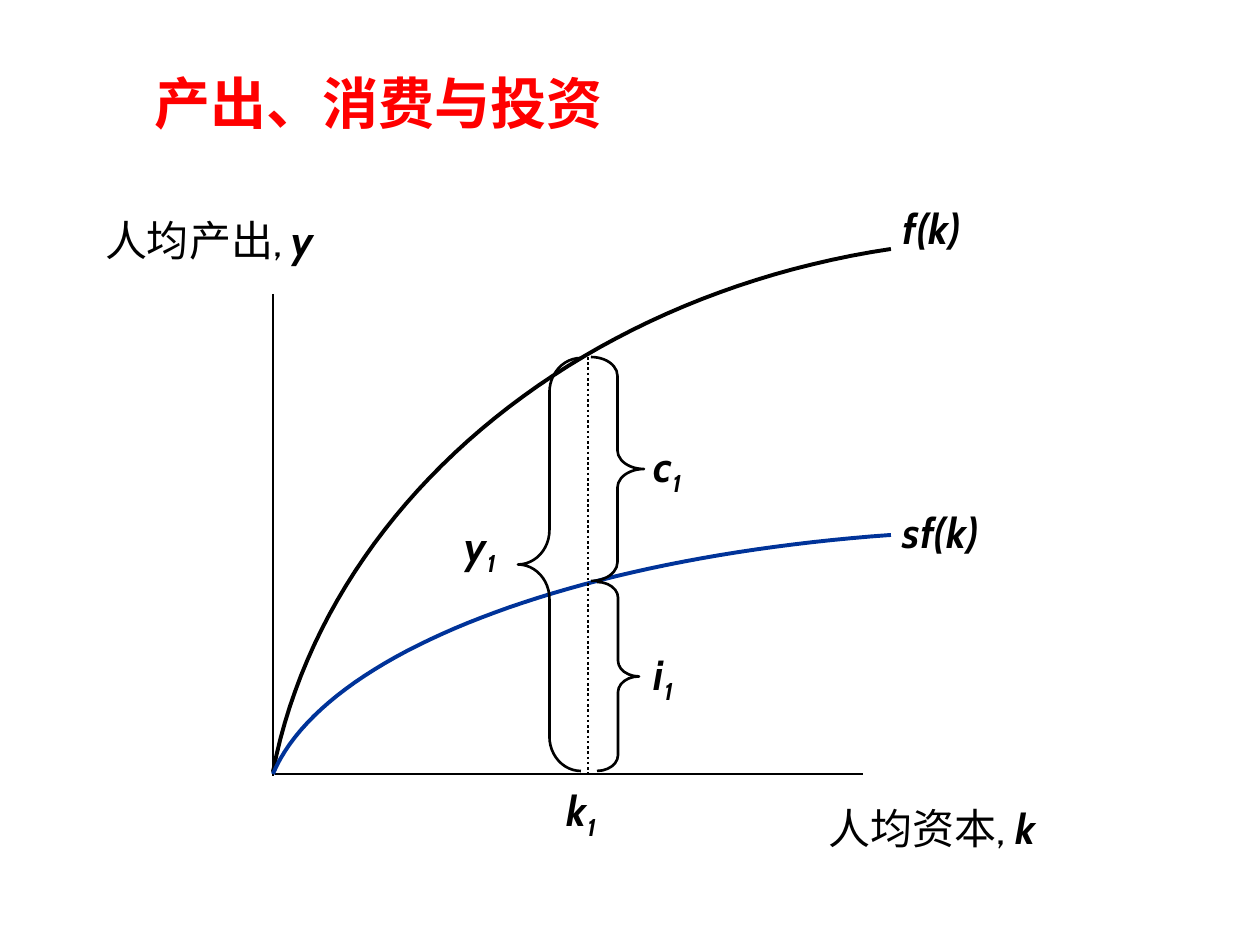
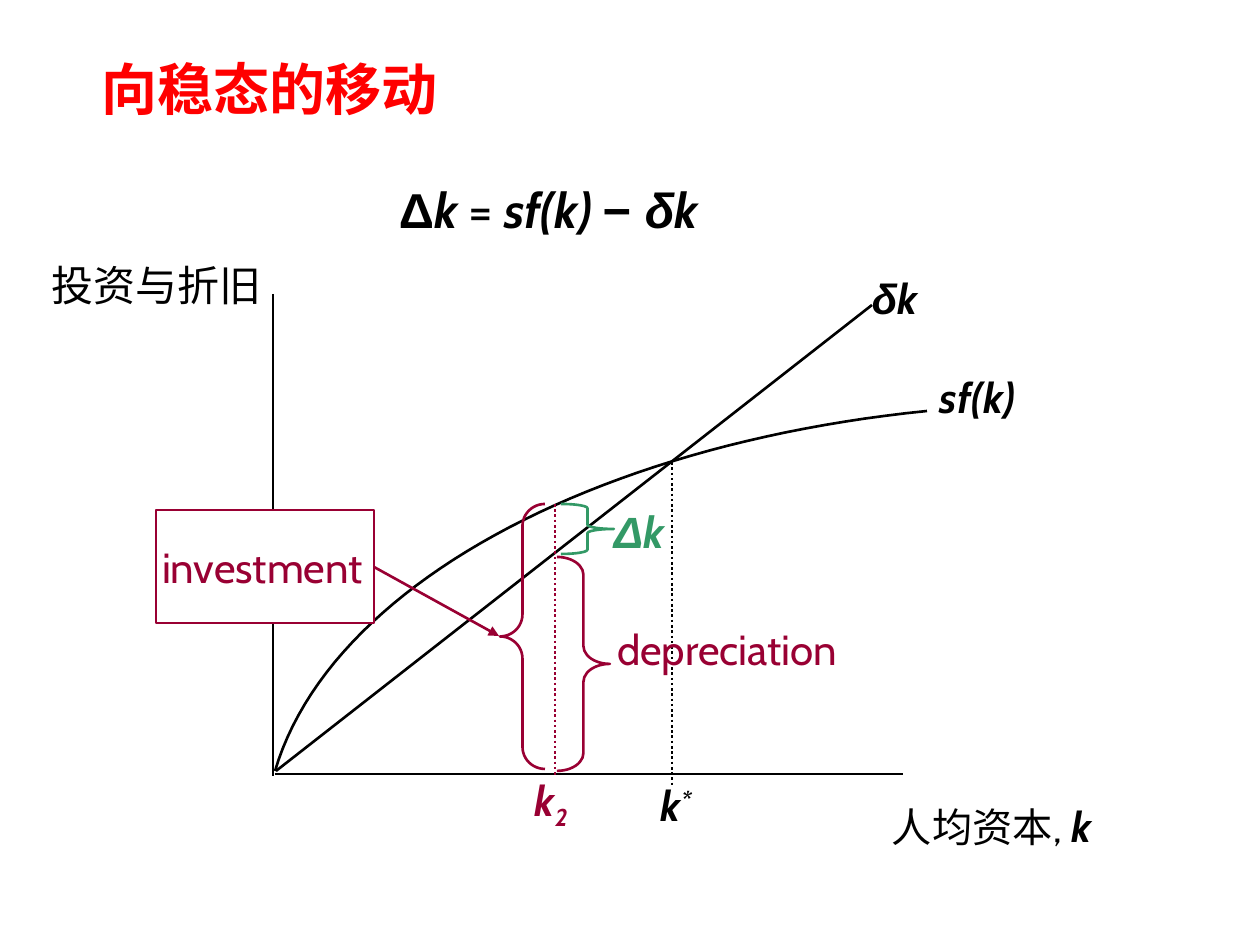
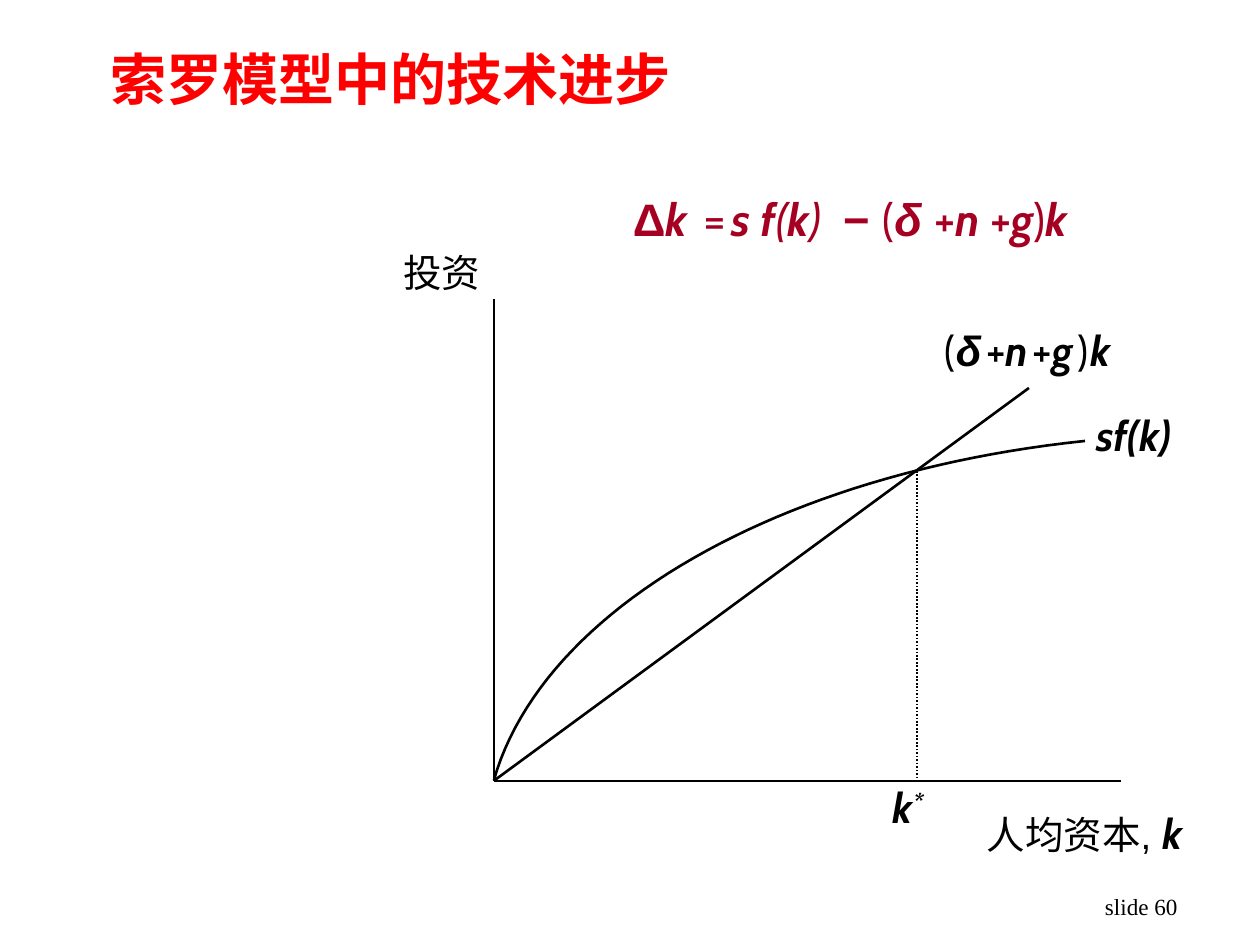
from dataclasses import dataclass

from lxml.etree import SubElement
from pptx import Presentation
from pptx.dml.color import RGBColor
from pptx.enum.dml import MSO_LINE
from pptx.enum.shapes import MSO_CONNECTOR, MSO_SHAPE
from pptx.enum.text import MSO_ANCHOR as ANCHOR, MSO_AUTO_SIZE as FIT, PP_ALIGN as ALIGN
from pptx.oxml.ns import qn
from pptx.util import Emu, Pt

PIXEL = 914400 // 126  # EMU in one pixel
SLIDE_SIZE = (1260, 945)
TITLE_SIZE = (1155, 87)


@dataclass(frozen=True)
class Theme:
    """Colours, fonts, type sizes and line weights of the deck."""
    red: str = "FF0000"
    black: str = "000000"
    white: str = "FFFFFF"
    blue: str = "003399"
    wine: str = "990033"
    crimson: str = "A50021"
    green: str = "339966"
    title_font: str = "Noto Sans CJK SC"
    body_font: str = "Cabin"
    greek_font: str = "Arial"
    serif_font: str = "Times New Roman"
    title_size: float = 32
    label_size: float = 24
    thin: float = 0.99
    medium: float = 1.5
    thick: float = 2.25
    space_before: float = 0.625  # share of the type size


THEME = Theme()

# Run styles: font, bold, italic, baseline shift in thousandths of a percent
STYLES = {
    "plain": (THEME.body_font, False, False, 0),
    "plain italic": (THEME.body_font, False, True, 0),
    "variable": (THEME.body_font, True, True, 0),
    "subscript": (THEME.body_font, True, True, -25000),
    "superscript": (THEME.body_font, True, True, 30000),
    "greek": (THEME.greek_font, True, True, 0),
    "operator": (THEME.greek_font, True, False, 0),
    "sans": (THEME.greek_font, False, False, 0),
    "serif": (THEME.serif_font, False, False, 0),
}


@dataclass
class Line:
    """A straight line: ends x1, y1, x2, y2."""
    ends: tuple
    weight: float = THEME.thin
    color: str = THEME.black
    dotted: bool = False
    arrow: bool = False


@dataclass
class Curve:
    """A cubic curve through four control points."""
    points: tuple
    weight: float = THEME.medium
    color: str = THEME.black


@dataclass
class Brace:
    """A curly brace: box is left, top, width, height."""
    box: tuple
    side: str = "right"
    color: str = THEME.black


@dataclass
class Label:
    """A text: runs are (text, style[, size[, letter spacing]])."""
    box: tuple
    runs: list
    size: float = THEME.label_size
    color: str = THEME.black
    align: ALIGN = ALIGN.LEFT
    anchor: ANCHOR = ANCHOR.MIDDLE
    insets: tuple = (0, 0, 0, 0)
    fill: str = ""
    outline: str = ""
    opacity: int = 100
    grow: bool = True
    line_spacing: float = 1.0


SAVING = [("sf(k)", "variable")]
CAPITAL = [("人均资本, ", "plain"), ("k ", "variable")]
STEADY = [("k", "variable"), ("* ", "superscript")]
PADDING = (13, 6, 13, 6)
ABOVE_GAP = (0, 0, 0, 13)


def indexed(letter, index="1 "):
    """Return the runs of a variable with a subscript."""
    return [(letter, "variable"), (index, "subscript")]


SLIDES = [
    {
        "title": ("产出、消费与投资", (-199, 59), ALIGN.CENTER),
        "parts": [
            Line((273, 294, 273, 776)),
            Line((275, 774, 863, 774)),
            Curve(((891, 249), (571, 297), (324, 508), (273, 772)), THEME.thick),
            Curve(((891, 535), (571, 558), (324, 653), (273, 774)), THEME.thick, THEME.blue),
            Line((588, 357, 588, 777), THEME.medium, dotted=True),
            Brace((518, 358, 63, 413), "left"),
            Brace((597, 582, 42, 189)),
            Brace((591, 357, 53, 224)),
            Label((105, 189, 220, 101), [("人均产出, ", "plain"), ("y ", "variable")]),
            Label((829, 777, 220, 101), CAPITAL),
            Label((903, 203, 105, 50), [("f(k)", "variable")]),
            Label((903, 507, 136, 50), SAVING),
            Label((567, 784, 73, 71), indexed("k"), insets=ABOVE_GAP),
            Label((465, 520, 73, 58), indexed("y")),
            Label((654, 648, 73, 58), indexed("i")),
            Label((654, 440, 73, 58), indexed("c")),
        ],
    },
    {
        "title": ("向稳态的移动", (89, 45), ALIGN.LEFT),
        "parts": [
            Line((273, 294, 273, 776)),
            Line((275, 774, 903, 774)),
            Curve(((927, 411), (590, 445), (329, 588), (275, 771))),
            Line((276, 771, 872, 305), THEME.medium),
            Line((672, 462, 672, 785), THEME.medium, dotted=True),
            Line((555, 504, 555, 777), THEME.medium, THEME.wine, dotted=True),
            Label((156, 510, 218, 113), [("investment", "plain")], color=THEME.wine,
                  insets=(6, 6, 6, 6), fill=THEME.white, outline=THEME.wine),
            Brace((500, 504, 45, 265), "left", THEME.wine),
            Line((374, 567, 499, 636), THEME.medium, THEME.wine, arrow=True),
            Brace((557, 557, 53, 214), color=THEME.wine),
            Brace((561, 504, 53, 50), color=THEME.green),
            Label((30, 260, 253, 50), [("投资与折旧", "serif")], align=ALIGN.CENTER),
            Label((892, 801, 220, 50), [("人均资本, ", "plain", 23), ("k ", "variable")]),
            Label((940, 372, 111, 50), SAVING),
            Label((872, 273, 136, 50), [("δ", "greek"), ("k", "variable")]),
            Label((661, 780, 73, 50), STEADY),
            Label((399, 179, 368, 59),
                  [("Δ", "operator"), ("k", "variable"), (" = ", "plain"),
                   ("sf(k) ", "variable"), ("− ", "operator"), ("δ", "greek"),
                   ("k", "variable")], size=28),
            Label((535, 774, 63, 58), indexed("k", "2"), color=THEME.wine),
            Label((617, 624, 231, 101), [("depreciation", "plain")],
                  color=THEME.wine, anchor=ANCHOR.TOP),
            Label((614, 505, 73, 53), [("Δ", "greek"), ("k", "variable")],
                  size=25, color=THEME.green, anchor=ANCHOR.TOP),
        ],
    },
    {
        "title": ("索罗模型中的技术进步", (98, 35), ALIGN.LEFT),
        "parts": [
            Line((494, 299, 494, 781)),
            Line((494, 781, 1121, 781)),
            Curve(((1085, 441), (779, 473), (543, 609), (494, 780))),
            Line((495, 780, 1029, 388), THEME.medium),
            Line((917, 471, 917, 781), dotted=True),
            Label((315, 249, 253, 47), [("投资", "sans")], size=22,
                  align=ALIGN.CENTER, fill=THEME.white),
            Label((987, 808, 220, 50), [("人均资本, ", "sans", 22), ("k ", "variable")]),
            Label((1096, 410, 131, 50), SAVING),
            Label((945, 325, 242, 50),
                  [("(", "plain"), ("δ", "greek"), (" ", "plain", 12), ("+", "plain"),
                   ("n", "variable"), (" ", "plain", 12), ("+", "plain"),
                   ("g", "variable"), (" ", "plain", 12), (")", "plain"),
                   (" ", "plain", 6), ("k", "variable")]),
            Label((893, 782, 73, 63), STEADY, insets=ABOVE_GAP),
            Label((620, 185, 577, 68),
                  [("Δ", "operator"), ("k", "variable"), (" ", "variable", 26, 3.25),
                   ("=", "plain"), (" ", "plain", 13), ("s f", "variable"),
                   ("(", "plain italic"), ("k", "variable"), (")", "plain italic"),
                   (" ", "plain italic", 26, 6.5), ("− ", "operator"), ("(", "plain"),
                   ("δ ", "greek"), ("+", "plain"), ("n ", "variable"), ("+", "plain"),
                   ("g", "variable"), (")", "plain"), ("k", "variable")],
                  size=26, color=THEME.crimson, anchor=ANCHOR.TOP, insets=PADDING,
                  fill=THEME.white, opacity=50),
            Label((1092, 892, 158, 42), [("slide 60", "serif")], size=13.2,
                  anchor=ANCHOR.TOP, insets=PADDING, grow=False, line_spacing=0.8),
        ],
    },
]


def emu(*pixels):
    """Turn pixel lengths into EMU."""
    return [Emu(round(pixel * PIXEL)) for pixel in pixels]


def set_line(line, color, weight):
    """Give a line its colour and weight."""
    line.color.rgb = RGBColor.from_string(color)
    line.width = Pt(weight)


def add_title(slide, text, corner, align):
    """Fill, place and format the title placeholder."""
    title = slide.shapes.title
    title.left, title.top, title.width, title.height = emu(*corner, *TITLE_SIZE)
    frame = title.text_frame
    frame.text = text
    frame.auto_size = FIT.NONE
    frame.vertical_anchor = ANCHOR.MIDDLE
    paragraph = frame.paragraphs[0]
    paragraph.alignment = align
    font = paragraph.runs[0].font
    font.name, font.size, font.bold = THEME.title_font, Pt(THEME.title_size), True
    font.color.rgb = RGBColor.from_string(THEME.red)
    properties = paragraph.runs[0]._r.get_or_add_rPr()
    SubElement(properties, qn("a:ea")).set("typeface", THEME.title_font)


def add_line(slide, part):
    """Draw a straight line, dotted or with an arrowhead if asked."""
    connector = slide.shapes.add_connector(MSO_CONNECTOR.STRAIGHT, *emu(*part.ends))
    set_line(connector.line, part.color, part.weight)
    if part.dotted:
        connector.line.dash_style = MSO_LINE.ROUND_DOT
    if part.arrow:
        SubElement(connector.get_or_add_ln(), qn("a:tailEnd")).set("type", "triangle")
    SubElement(connector._element.spPr, qn("a:effectLst"))


def add_curve(slide, part, steps=48):
    """Draw a cubic curve as a fine open outline."""
    points = []
    for step in range(steps + 1):
        t = step / steps
        weights = ((1 - t) ** 3, 3 * t * (1 - t) ** 2, 3 * t * t * (1 - t), t ** 3)
        points.append(emu(*(sum(weight * point[axis]
                                for weight, point in zip(weights, part.points))
                            for axis in (0, 1))))
    builder = slide.shapes.build_freeform(*points[0], scale=1.0)
    builder.add_line_segments(points[1:], close=False)
    shape = builder.convert_to_shape()
    shape.shadow.inherit = False
    shape.fill.background()
    set_line(shape.line, part.color, part.weight)


def add_brace(slide, part):
    """Draw a brace whose bends are a twelfth of its height."""
    kind = MSO_SHAPE.LEFT_BRACE if part.side == "left" else MSO_SHAPE.RIGHT_BRACE
    shape = slide.shapes.add_shape(kind, *emu(*part.box))
    width, height = part.box[2:]
    shape.adjustments[0] = height / 12 / min(width, height)
    shape.shadow.inherit = False
    shape.fill.background()
    set_line(shape.line, part.color, THEME.medium)


def add_run(paragraph, label, text, style, size=None, spacing=0):
    """Add one formatted run to a paragraph."""
    run = paragraph.add_run()
    run.text = text
    font = run.font
    font.name, font.bold, font.italic, baseline = STYLES[style]
    font.size = Pt(size or label.size)
    font.color.rgb = RGBColor.from_string(label.color)
    properties = run._r.get_or_add_rPr()
    if baseline:
        properties.set("baseline", str(baseline))
    if spacing:
        properties.set("spc", str(round(spacing * 100)))


def add_label(slide, part):
    """Add a text box, or a rectangle when the label is filled."""
    if part.fill:
        shape = slide.shapes.add_shape(MSO_SHAPE.RECTANGLE, *emu(*part.box))
        shape.shadow.inherit = False
        shape.fill.solid()
        shape.fill.fore_color.rgb = RGBColor.from_string(part.fill)
        if part.opacity < 100:
            color = shape._element.spPr.find(qn("a:solidFill")).find(qn("a:srgbClr"))
            SubElement(color, qn("a:alpha")).set("val", str(part.opacity * 1000))
        if part.outline:
            set_line(shape.line, part.outline, THEME.thin)
        else:
            shape.line.fill.background()
    else:
        shape = slide.shapes.add_textbox(*emu(*part.box))
    frame = shape.text_frame
    frame.word_wrap = True
    frame.auto_size = FIT.SHAPE_TO_FIT_TEXT if part.grow else FIT.NONE
    frame.vertical_anchor = part.anchor
    (frame.margin_left, frame.margin_top,
     frame.margin_right, frame.margin_bottom) = emu(*part.insets)
    paragraph = frame.paragraphs[0]
    paragraph.alignment = part.align
    paragraph.line_spacing = part.line_spacing
    if part.grow:
        paragraph.space_before = Pt(part.size * THEME.space_before)
    for run in part.runs:
        add_run(paragraph, part, *run)


DRAW = {Line: add_line, Curve: add_curve, Brace: add_brace, Label: add_label}


def build():
    """Build the deck and save it."""
    presentation = Presentation()
    presentation.slide_width, presentation.slide_height = emu(*SLIDE_SIZE)
    title_only = presentation.slide_layouts[5]
    for content in SLIDES:
        slide = presentation.slides.add_slide(title_only)
        add_title(slide, *content["title"])
        for part in content["parts"]:
            DRAW[type(part)](slide, part)
    presentation.save("out.pptx")


build()
